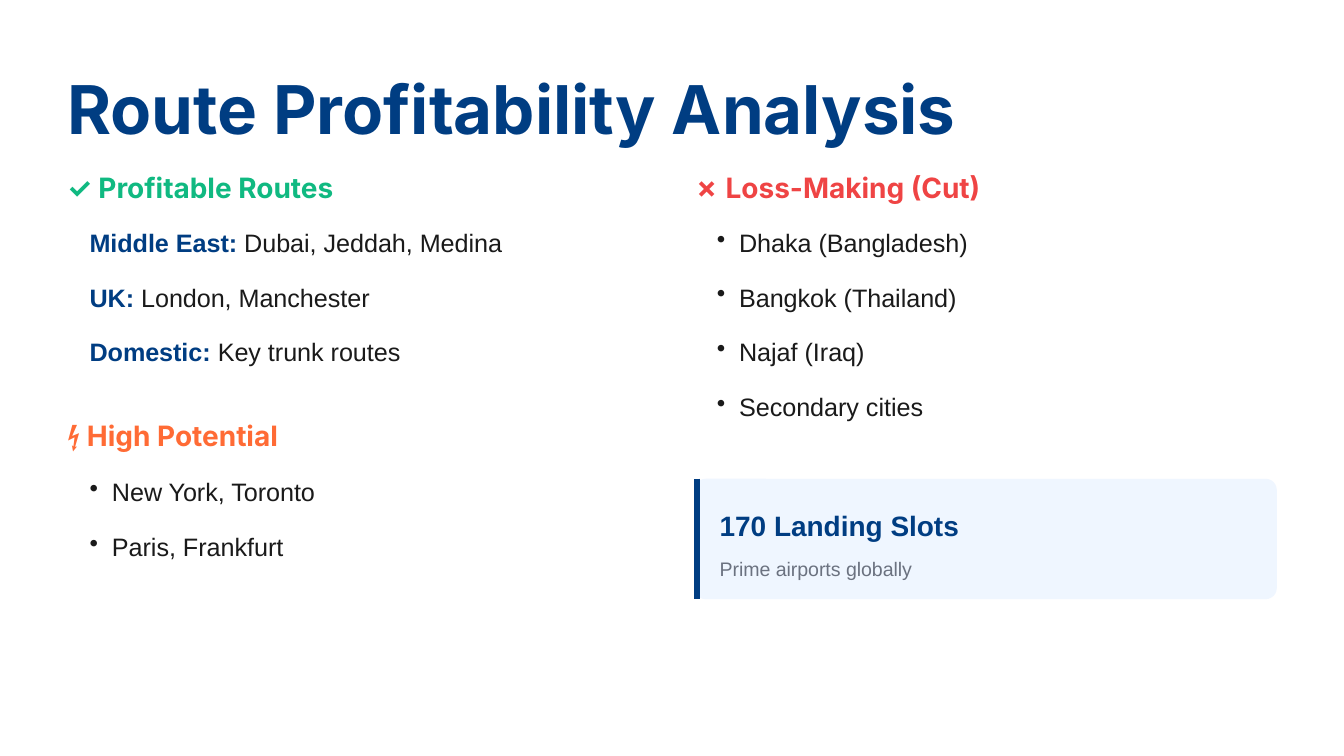
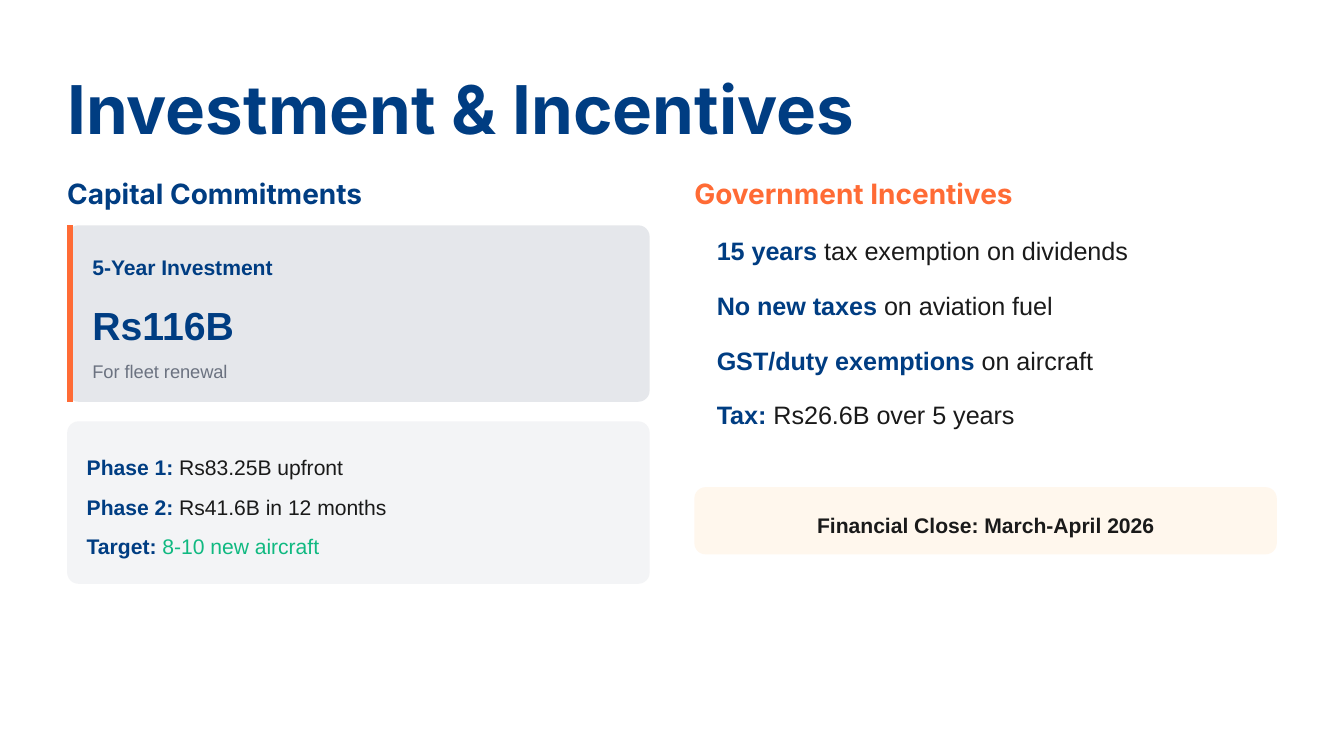
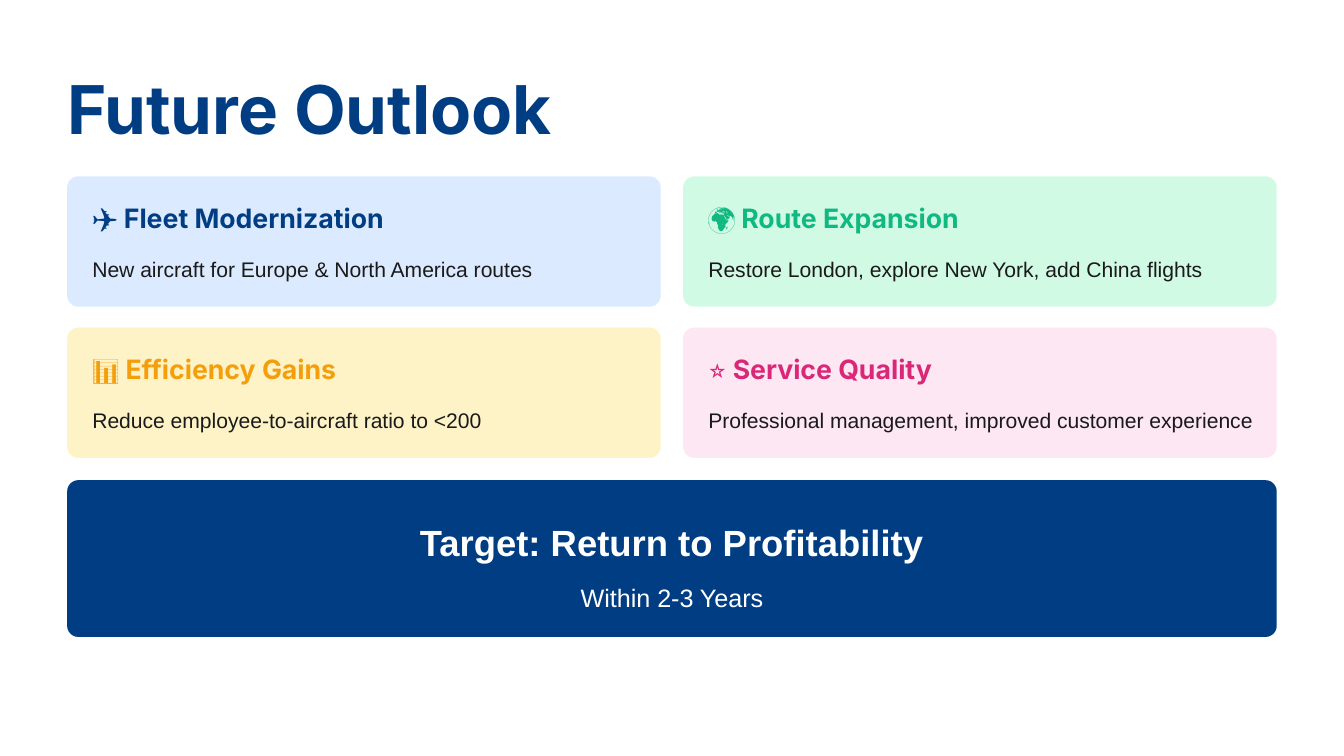
from dataclasses import dataclass

from lxml import etree
from pptx import Presentation
from pptx.dml.color import RGBColor
from pptx.enum.shapes import MSO_CONNECTOR, MSO_SHAPE
from pptx.enum.text import PP_ALIGN
from pptx.oxml.ns import qn
from pptx.util import Pt

ROUND = MSO_SHAPE.ROUNDED_RECTANGLE
LINE = MSO_CONNECTOR.STRAIGHT
LEFT, MID = PP_ALIGN.LEFT, PP_ALIGN.CENTER


@dataclass(frozen=True)
class Style:
    size: float
    lead: float
    bold: bool = False
    face: str = "Arial"


class Theme:
    px = 9525
    navy, ink, gray, white = "003D82", "1A1A1A", "6B7280", "FFFFFF"
    green, orange, red = "10B981", "FF6B35", "EF4444"
    amber, pink = "F59E0B", "DB2777"
    ice, steel, mist, cream = "EFF6FF", "E5E7EB", "F3F4F6", "FFF7ED"
    sky, mint, lemon, rose = "DBEAFE", "D1FAE5", "FEF3C7", "FCE7F3"
    title = Style(36, 43.2, True, "Inter")
    head = Style(15, 18, True, "Inter")
    topic = Style(14.25, 17.1, True, "Inter")
    item = Style(13.5, 20.25)
    slots = Style(15, 24, True)
    note = Style(10.5, 16.8)
    label = Style(11.25, 18, True)
    body = Style(11.25, 18)
    sum = Style(21, 33.6, True)
    small = Style(9.75, 15.6)
    goal = Style(19.5, 31.2, True)
    time = Style(13.5, 21.6)


T = Theme

WIDTH, HEIGHT = 960, 540
EDGE, RIGHT, COL = 48, 496, 416
INDENT, RADIUS, BAR = 16, 8, 4

ROUTES = {
    "title": ("Route Profitability Analysis", 754),
    "lists": [
        (EDGE, 122, 157, "✓ Profitable Routes", T.green, [
            ("Middle East:", " Dubai, Jeddah, Medina"),
            ("UK:", " London, Manchester"),
            ("Domestic:", " Key trunk routes")]),
        (EDGE, 299, 335, "⚡ High Potential", T.orange, [
            "New York, Toronto", "Paris, Frankfurt"]),
        (RIGHT, 122, 157, "✗ Loss-Making (Cut)", T.red, [
            "Dhaka (Bangladesh)", "Bangkok (Thailand)",
            "Najaf (Iraq)", "Secondary cities"])],
    "cards": [
        (RIGHT, 342, 86, T.ice, T.navy, 18, 392, LEFT, [
            (13, 32, "170 Landing Slots", T.slots, T.navy),
            (50, 22, "Prime airports globally", T.note, T.gray)])],
}

FUNDS = {
    "title": ("Investment & Incentives", 675),
    "lists": [
        (EDGE, 126, 161, "Capital Commitments", T.navy, []),
        (RIGHT, 126, 163, "Government Incentives", T.orange, [
            ("15 years", " tax exemption on dividends"),
            ("No new taxes", " on aviation fuel"),
            ("GST/duty exemptions", " on aircraft"),
            ("Tax:", " Rs26.6B over 5 years")])],
    "cards": [
        (EDGE, 161, 126, T.steel, T.orange, 18, 392, LEFT, [
            (15, 24, "5-Year Investment", T.label, T.navy),
            (43, 45, "Rs116B", T.sum, T.navy),
            (91, 21, "For fleet renewal", T.small, T.gray)]),
        (EDGE, 301, 116, T.mist, None, 14, 396, LEFT, [
            (18, 24, ("Phase 1:", " Rs83.25B upfront"), T.body, T.ink),
            (46, 24, ("Phase 2:", " Rs41.6B in 12 months"), T.body, T.ink),
            (74, 24, ("Target:", " 8-10 new aircraft"), T.body, T.green)]),
        (RIGHT, 348, 48, T.cream, None, 8, 400, MID, [
            (12, 24, "Financial Close: March-April 2026", T.label, T.ink)])],
}

OUTLOOK = ("Future Outlook", 442)
TOPICS = [
    ("✈️ Fleet Modernization", "New aircraft for Europe & North America routes",
     T.navy, T.sky),
    ("🌍 Route Expansion", "Restore London, explore New York, add China flights",
     T.green, T.mint),
    ("📊 Efficiency Gains", "Reduce employee-to-aircraft ratio to <200",
     T.amber, T.lemon),
    ("⭐ Service Quality", "Professional management, improved customer experience",
     T.pink, T.rose),
]
GOAL = [
    (18, 41, "Target: Return to Profitability", T.goal, T.white),
    (66, 29, "Within 2-3 Years", T.time, T.white),
]


def scale(*nums):
    return [n * T.px for n in nums]


def tint(color):
    return RGBColor.from_string(color)


def write(para, text, style, color, align=LEFT):
    para.alignment = align
    para.line_spacing = Pt(style.lead)
    font = para.font
    font.name, font.size = style.face, Pt(style.size)
    if isinstance(text, str):
        font.bold, font.color.rgb = style.bold, tint(color)
        para.add_run().text = text
        return
    for part, bold, shade in zip(text, (True, False), (T.navy, color)):
        run = para.add_run()
        run.text = part
        run.font.bold, run.font.color.rgb = bold, tint(shade)


def add_frame(slide, *box):
    frame = slide.shapes.add_textbox(*scale(*box)).text_frame
    frame.word_wrap = True
    frame.margin_left = frame.margin_right = 0
    frame.margin_top = frame.margin_bottom = 0
    return frame


def add_text(slide, box, *args):
    write(add_frame(slide, *box).paragraphs[0], *args)


def add_list(slide, x, y, rows):
    frame = add_frame(slide, x, y, COL, 43 * len(rows) - 4)
    frame.margin_left = INDENT * T.px
    for i, row in enumerate(rows):
        para = frame.add_paragraph() if i else frame.paragraphs[0]
        para.space_after = Pt(9)
        props = para._p.get_or_add_pPr()
        props.set("marL", str(INDENT * T.px))
        props.set("indent", str(-INDENT * T.px))
        if isinstance(row, str):
            etree.SubElement(props, qn("a:buChar")).set("char", "•")
        write(para, row, T.item, T.ink)


def add_card(slide, x, y, wide, high, fill, bar, pad, span, align, lines):
    card = slide.shapes.add_shape(ROUND, *scale(x, y, wide, high))
    card.shadow.inherit = False
    card.adjustments[0] = RADIUS / high
    card.fill.solid()
    card.fill.fore_color.rgb = tint(fill)
    card.line.fill.background()
    if bar:
        mid = x + BAR // 2
        rule = slide.shapes.add_connector(LINE, *scale(mid, y, mid, y + high))
        rule.line.color.rgb = tint(bar)
        rule.line.width = BAR * T.px
        etree.SubElement(rule._element.spPr, qn("a:effectLst"))
    for down, tall, text, style, color in lines:
        add_text(slide, (x + pad, y + down, span, tall), text, style, color, align)


def add_slide(deck, title, wide):
    slide = deck.slides.add_slide(deck.slide_layouts[6])
    add_text(slide, (EDGE, 48, wide, 58), title, T.title, T.navy)
    return slide


def add_columns(deck, page):
    slide = add_slide(deck, *page["title"])
    for x, top, y, head, color, rows in page["lists"]:
        add_text(slide, (x, top, 424, 24), head, T.head, color)
        if rows:
            add_list(slide, x, y, rows)
    for x, y, high, *rest in page["cards"]:
        add_card(slide, x, y, COL, high, *rest)


def add_outlook(deck):
    slide = add_slide(deck, *OUTLOOK)
    for i, (head, body, color, fill) in enumerate(TOPICS):
        row, col = divmod(i, 2)
        lines = [(18, 23, head, T.topic, color), (51, 24, body, T.body, T.ink)]
        add_card(slide, EDGE + 440 * col, 126 + 108 * row, 424, 93,
                 fill, None, 18, 396, LEFT, lines)
    add_card(slide, EDGE, 343, WIDTH - 2 * EDGE, 112,
             T.navy, None, 10, 844, MID, GOAL)


def main():
    deck = Presentation()
    deck.slide_width, deck.slide_height = scale(WIDTH, HEIGHT)
    for page in (ROUTES, FUNDS):
        add_columns(deck, page)
    add_outlook(deck)
    deck.save("out.pptx")


if __name__ == "__main__":
    main()
